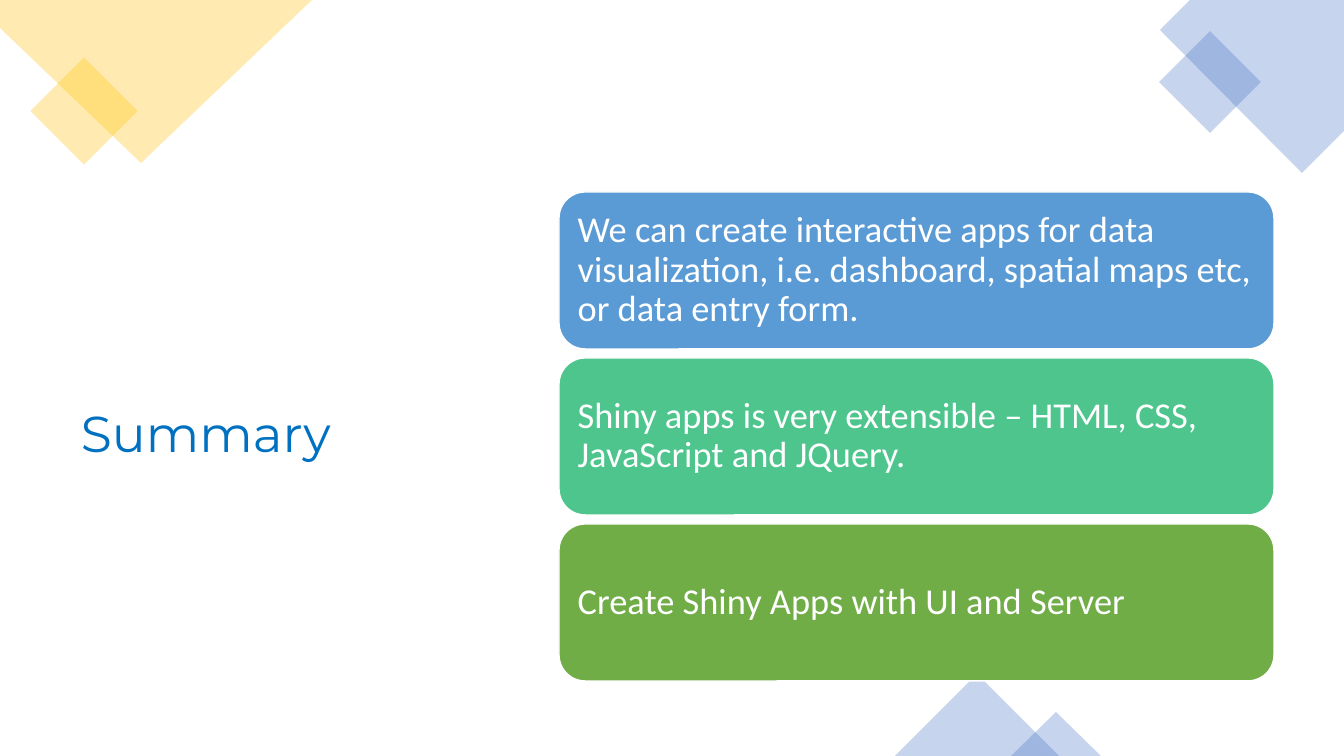
from dataclasses import dataclass

from lxml.etree import SubElement
from pptx import Presentation
from pptx.dml.color import RGBColor
from pptx.enum.shapes import MSO_SHAPE as Preset
from pptx.enum.text import MSO_ANCHOR as Anchor, MSO_AUTO_SIZE as AutoSize, PP_ALIGN as Align
from pptx.oxml.ns import qn
from pptx.util import Emu, Pt

SLIDE_WIDTH, SLIDE_HEIGHT = 1344, 756
EMU_PER_PX = 12192000 / SLIDE_WIDTH


@dataclass(frozen=True)
class Theme:
    title: str = "0070C0"
    white: str = "FFFFFF"
    gold: str = "FFC000"
    blue: str = "4472C4"
    cards: tuple = ("5B9BD5", "4DC58D", "70AD47")
    title_font: str = "Montserrat"
    body_font: str = "Calibri"
    title_size: int = 36
    body_size: int = 26
    decor_opacity: int = 30


THEME = Theme()

CARD_LEFT, CARD_TOP, CARD_WIDTH, CARD_HEIGHT = 559, 192, 715, 157
CARD_PITCH = 166
CARD_INSET = 11

TAKEAWAYS = (
    "We can create interactive apps for data visualization, i.e. dashboard, "
    "spatial maps etc, or data entry form.",
    "Shiny apps is very extensible – HTML, CSS, JavaScript and JQuery.",
    "Create Shiny Apps with UI and Server",
)

CORNERS = (
    (THEME.gold, ((0, 0), (312, 0), (141, 163), (0, 28))),
    (THEME.blue, ((1190, 0), (1344, 0), (1344, 131), (1302, 173), (1160, 30))),
)

DECOR_PRESETS = (
    (Preset.RECTANGLE, (46, 73, 76, 76), 45, THEME.gold),
    (Preset.RECTANGLE, (1174, 46, 72, 72), 45, THEME.blue),
    (Preset.ISOSCELES_TRIANGLE, (895, 674, 164, 82), 0, THEME.blue),
    (Preset.ISOSCELES_TRIANGLE, (1011, 712, 90, 44), 0, THEME.blue),
)


def px(length):
    return Emu(round(length * EMU_PER_PX))


def box(*lengths):
    return [px(length) for length in lengths]


def paint(shape, color, opacity=100, line=None):
    shape.shadow.inherit = False
    shape.fill.solid()
    shape.fill.fore_color.rgb = RGBColor.from_string(color)
    if opacity < 100:
        color_element = shape.fill._xPr.find(qn("a:solidFill"))[0]
        SubElement(color_element, qn("a:alpha"), val=str(opacity * 1000))
    if line:
        shape.line.color.rgb = RGBColor.from_string(line)
        shape.line.width = Pt(1)
    else:
        shape.line.fill.background()


def write_text(shape, text, *, font, size, color, inset=10):
    frame = shape.text_frame
    frame.word_wrap = True
    frame.auto_size = AutoSize.NONE
    frame.vertical_anchor = Anchor.MIDDLE
    frame.margin_left = frame.margin_right = px(inset)
    frame.margin_top = frame.margin_bottom = px(inset)
    paragraph = frame.paragraphs[0]
    paragraph.alignment = Align.LEFT
    paragraph.line_spacing = 0.9
    run = paragraph.add_run()
    run.text = text
    run.font.name = font
    run.font.size = Pt(size)
    run.font.color.rgb = RGBColor.from_string(color)


def add_title(slide, text):
    title = slide.shapes.title
    title.left, title.top, title.width, title.height = box(71, 187, 436, 498)
    write_text(title, text, font=THEME.title_font, size=THEME.title_size, color=THEME.title)


def add_corner(slide, color, points):
    start, *rest = [box(*point) for point in points]
    builder = slide.shapes.build_freeform(*start)
    builder.add_line_segments(rest, close=True)
    paint(builder.convert_to_shape(), color, THEME.decor_opacity)


def add_decor(slide, preset, place, rotation, color):
    shape = slide.shapes.add_shape(preset, *box(*place))
    shape.rotation = rotation
    paint(shape, color, THEME.decor_opacity)


def add_card(slide, index, text, color):
    top = CARD_TOP + index * CARD_PITCH
    card = slide.shapes.add_shape(
        Preset.ROUNDED_RECTANGLE, *box(CARD_LEFT, top, CARD_WIDTH, CARD_HEIGHT)
    )
    paint(card, color, line=THEME.white)
    write_text(card, text, font=THEME.body_font, size=THEME.body_size,
               color=THEME.white, inset=CARD_INSET)


def main():
    presentation = Presentation()
    presentation.slide_width, presentation.slide_height = box(SLIDE_WIDTH, SLIDE_HEIGHT)
    slide = presentation.slides.add_slide(presentation.slide_layouts.get_by_name("Title Only"))
    add_title(slide, "Summary")
    for color, points in CORNERS:
        add_corner(slide, color, points)
    for preset, place, rotation, color in DECOR_PRESETS:
        add_decor(slide, preset, place, rotation, color)
    for index, (text, color) in enumerate(zip(TAKEAWAYS, THEME.cards)):
        add_card(slide, index, text, color)
    presentation.save("out.pptx")


if __name__ == "__main__":
    main()
